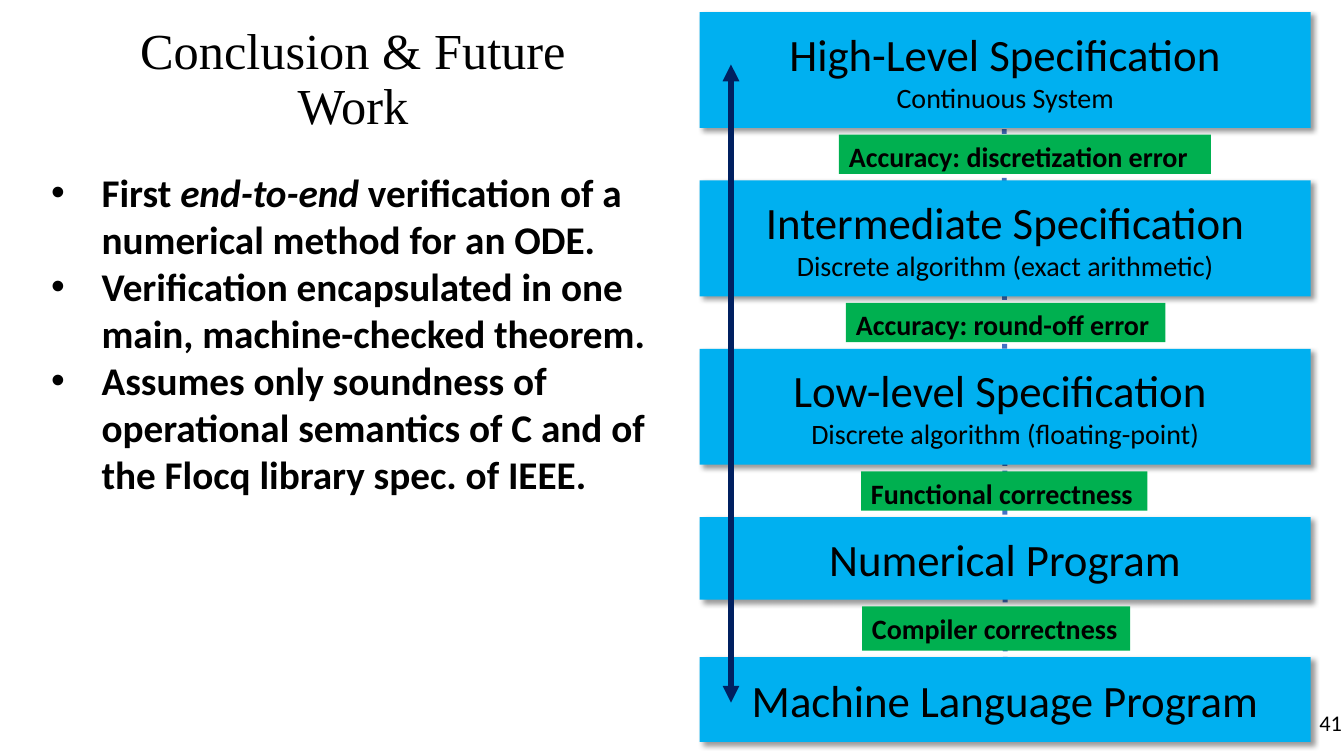
from lxml import etree
from pptx import Presentation
from pptx.dml.color import RGBColor
from pptx.enum.dml import MSO_LINE
from pptx.enum.shapes import MSO_CONNECTOR, MSO_SHAPE
from pptx.enum.text import MSO_ANCHOR, PP_ALIGN
from pptx.oxml.ns import qn
from pptx.util import Inches, Pt

RECT, STRAIGHT = MSO_SHAPE.RECTANGLE, MSO_CONNECTOR.STRAIGHT
TOP, MIDDLE = MSO_ANCHOR.TOP, MSO_ANCHOR.MIDDLE
LEFT, CENTER, RIGHT = PP_ALIGN.LEFT, PP_ALIGN.CENTER, PP_ALIGN.RIGHT
DOTS = MSO_LINE.ROUND_DOT

COLORS = {"level": "00B0F0", "link": "00B050", "spine": "4472C4",
          "arrow": "002060", "text": "000000"}
BODY, SERIF = "Calibri", "Times New Roman"
GAP = 0.13  # free height around a link label, shared above and below it

# Each level: lines of text, height
LEVELS = [
    (["High-Level Specification", "Continuous System"], 1.15),
    (["Intermediate Specification", "Discrete algorithm (exact arithmetic)"], 1.15),
    (["Low-level Specification ", "Discrete algorithm (floating-point)"], 1.15),
    (["Numerical Program"], 0.82),
    (["Machine Language Program"], 0.84),
]
# Each link between two levels: label, offset from the column's left, width, height
LINKS = [
    ("Accuracy: discretization error", 1.38, 3.69, 0.39),
    ("Accuracy: round-off error", 1.45, 3.17, 0.39),
    ("Functional correctness", 1.6, 2.84, 0.39),
    ("Compiler correctness", 1.61, 2.66, 0.44),
]
# Each bullet: runs of (text, italic)
BULLETS = [
    [("First ", False), ("end-to-end", True),
     (" verification of a numerical method for an ODE.", False)],
    [("Verification encapsulated in one main, machine-checked theorem.", False)],
    [("Assumes only soundness of operational semantics of C and of "
      "the Flocq library spec. of IEEE.", False)],
]


def rgb(name):
    return RGBColor.from_string(COLORS[name])


def style(font, size, name=BODY, bold=False):
    font.size, font.name, font.bold = Pt(size), name, bold
    font.color.rgb = rgb("text")


def frame(s, insets, anchor):
    """Set wrapping, insets (left, top, right, bottom) and anchor."""
    tf = s.text_frame
    tf.word_wrap, tf.vertical_anchor = True, anchor
    (tf.margin_left, tf.margin_top,
     tf.margin_right, tf.margin_bottom) = map(Inches, insets)
    return tf


def add_text_box(slide, box, insets, anchor=TOP):
    return frame(slide.shapes.add_textbox(*map(Inches, box)), insets, anchor)


def add_block(slide, box, color, insets, anchor):
    s = slide.shapes.add_shape(RECT, *map(Inches, box))
    s.shadow.inherit = False
    s.fill.solid()
    s.fill.fore_color.rgb = rgb(color)
    s.line.fill.background()
    return s, frame(s, insets, anchor)


def add_shadow(s):
    effects = s._element.spPr.find(qn("a:effectLst"))
    shadow = etree.SubElement(effects, qn("a:outerShdw"), blurRad=str(Pt(4)),
                              dist=str(Pt(3)), dir="2700000", algn="tl", rotWithShape="0")
    color = etree.SubElement(shadow, qn("a:srgbClr"), val=COLORS["text"])
    etree.SubElement(color, qn("a:alpha"), val="40000")


def add_line(slide, start, end, color, width):
    s = slide.shapes.add_connector(STRAIGHT, *map(Inches, start + end))
    s.line.color.rgb = rgb(color)
    s.line.width = Pt(width)
    etree.SubElement(s._element.spPr, qn("a:effectLst"))
    return s


def add_level(slide, box, lines):
    s, tf = add_block(slide, box, "level", (0.28, 0.14, 0.28, 0.14), MIDDLE)
    add_shadow(s)
    tf.text = "\n".join(lines)
    for p, size in zip(tf.paragraphs, (32, 20)):
        p.alignment = CENTER
        style(p.runs[0].font, size)


def add_link(slide, box, label):
    tf = add_block(slide, box, "link", (0.1, 0.05, 0, 0.05), TOP)[1]
    tf.text = label
    p = tf.paragraphs[0]
    p.alignment = LEFT
    style(p.runs[0].font, 20, bold=True)


def add_tower(slide, left, top, width):
    """Stack the levels with a link label between each pair."""
    for i, (lines, height) in enumerate(LEVELS):
        add_level(slide, (left, top, width, height), lines)
        top += height
        if i < len(LINKS):
            label, offset, link_width, link_height = LINKS[i]
            add_link(slide, (left + offset, top + GAP / 2, link_width, link_height), label)
            top += link_height + GAP


def add_arrow(slide, start, end):
    s = add_line(slide, start, end, "arrow", 4)
    ln = s.line._get_or_add_ln()
    for tag in ("a:headEnd", "a:tailEnd"):
        etree.SubElement(ln, qn(tag), type="triangle")


def add_title(slide, box, text):
    tf = add_text_box(slide, box, (0, 0.4, 0.1, 0.3), MIDDLE)
    tf.text = text
    p = tf.paragraphs[0]
    p.alignment, p.line_spacing = CENTER, 0.9
    style(p.runs[0].font, 36, SERIF)


def add_page_number(slide, box, number):
    tf = add_text_box(slide, box, (0, 0.05, 0, 0.05), MIDDLE)
    tf.text = number
    p = tf.paragraphs[0]
    p.alignment = RIGHT
    style(p.runs[0].font, 16)


def add_bullets(slide, box):
    tf = add_text_box(slide, box, (0.1, 0.3, 0.1, 0.05))
    for i, runs in enumerate(BULLETS):
        p = tf.add_paragraph() if i else tf.paragraphs[0]
        pPr = p._p.get_or_add_pPr()
        pPr.set("marL", str(Inches(0.5)))
        pPr.set("indent", str(-Inches(0.5)))
        etree.SubElement(pPr, qn("a:buFont"), typeface="Arial")
        etree.SubElement(pPr, qn("a:buChar"), char="•")
        for text, italic in runs:
            r = p.add_run()
            r.text = text
            style(r.font, 28, bold=True)
            r.font.italic = italic


def main():
    prs = Presentation()
    prs.slide_width, prs.slide_height = Inches(13.33), Inches(7.5)
    slide = prs.slides.add_slide(prs.slide_layouts[6])
    spine = add_line(slide, (9.96, 1.28), (9.97, 6.51), "spine", 3.5)
    spine.line.dash_style = DOTS
    add_tower(slide, 6.94, 0.12, 6.06)
    # The number stands in the margin between the tower and the slide's edge
    add_page_number(slide, (13.03, 6.97, 0.28, 0.4), "41")
    add_title(slide, (1.14, 0.16, 4.82, 1.18), "Conclusion & Future Work")
    add_arrow(slide, (7.25, 0.64), (7.25, 6.97))
    add_bullets(slide, (0.41, 1.37, 6.63, 5.97))
    prs.save("out.pptx")


if __name__ == "__main__":
    main()
